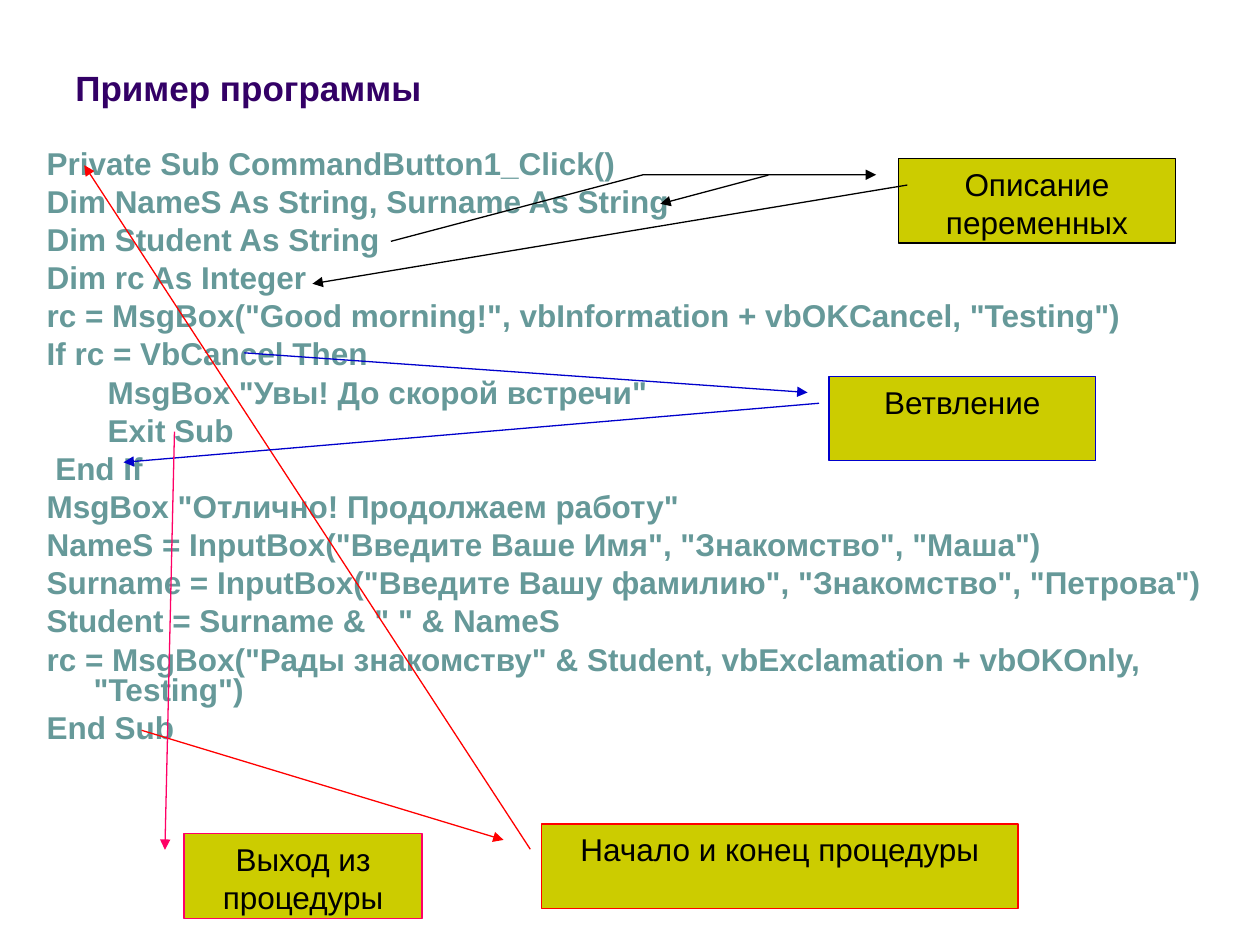
import dataclasses

import lxml.etree
import pptx
import pptx.dml.color
import pptx.enum.shapes
import pptx.enum.text
import pptx.oxml.ns
import pptx.util

Cm, Pt = pptx.util.Cm, pptx.util.Pt
KIND = pptx.enum.shapes.MSO_SHAPE
ALIGN = pptx.enum.text.PP_ALIGN
ANCHOR = pptx.enum.text.MSO_ANCHOR


@dataclasses.dataclass(frozen=True)
class Theme:
    face: str = "Arial"
    title: str = "330066"
    code: str = "669999"
    ink: str = "000000"
    fill: str = "CCCC00"
    red: str = "FF0000"
    blue: str = "0000CC"
    pink: str = "FF0066"
    head: int = 20
    body: int = 18
    line: float = 0.75


THEME = Theme()

CODE = '''Private Sub CommandButton1_Click()
Dim NameS As String, Surname As String
Dim Student As String
Dim rc As Integer
rc = MsgBox("Good morning!", vbInformation + vbOKCancel, "Testing")
If rc = VbCancel Then
       MsgBox "Увы! До скорой встречи"
       Exit Sub
 End If
MsgBox "Отлично! Продолжаем работу"
NameS = InputBox("Введите Ваше Имя", "Знакомство", "Маша")
Surname = InputBox("Введите Вашу фамилию", "Знакомство", "Петрова")
Student = Surname & " " & NameS
rc = MsgBox("Рады знакомству" & Student, vbExclamation + vbOKOnly, "Testing")
End Sub'''

# Text, colour, box (cm), leader points as (y, x) shares of the box,
# and arrows as start and tip, in cm from the box's corner.
START = (0.19, -0.08)
NOTES = [
    ("Описание переменных", THEME.ink, (18.11, 3.2, 5.59, 1.7),
     (START, (0.19, -0.92), (0.98, -1.83)),
     [((-2.62, 0.33), (-4.8, 0.91)), ((0.18, 0.53), (-11.81, 2.52))]),
    ("Начало и конец процедуры", THEME.red, (10.92, 16.61, 9.6, 1.7),
     (START, (-1.11, -0.84)), [((-0.23, 0.51), (-9.22, -13.28))]),
    ("Ветвление", THEME.blue, (16.71, 7.59, 5.38, 1.7),
     (START, (-0.28, -2.19)), [((-0.2, 0.54), (-14.22, 1.73))]),
    ("Выход из процедуры", THEME.pink, (3.71, 16.81, 4.8, 1.7),
     (START, (-4.77, -0.04)), []),
]


def put(part, form):
    for name, value in form.items():
        setattr(part, name, value)


def tint(text):
    return pptx.dml.color.RGBColor.from_string(text)


def write(frame, lines, size, color, bold=False, form=None):
    """Fill a frame with one paragraph for each line."""
    frame.word_wrap = True
    for i, line in enumerate(lines):
        para = frame.paragraphs[0] if i == 0 else frame.add_paragraph()
        para.text = line
        put(para, form or {})
        if i == 0:
            para.space_before = Pt(0)
        put(para.font, {"name": THEME.face, "size": Pt(size), "bold": bold})
        para.font.color.rgb = tint(color)


def stroke(shape, color, end):
    """Set the outline and put a triangle on headEnd or tailEnd."""
    shape.line.color.rgb = tint(color)
    shape.line.width = Pt(THEME.line)
    edge = shape.element.spPr.get_or_add_ln()
    lxml.etree.SubElement(edge, pptx.oxml.ns.qn(end), type="triangle")


def title(slide, box):
    frame = slide.shapes.add_textbox(*map(Cm, box)).text_frame
    frame.vertical_anchor = ANCHOR.BOTTOM
    write(frame, ["Пример программы"], THEME.head, THEME.title, True)


def code(slide, box):
    frame = slide.shapes.add_textbox(*map(Cm, box)).text_frame
    form = {"line_spacing": 0.8, "space_before": Pt(4.5)}
    write(frame, CODE.split("\n"), THEME.body, THEME.code, True, form)
    for para in frame.paragraphs:
        props = para._p.get_or_add_pPr()
        props.set("marL", str(Cm(0.95)))
        props.set("indent", str(-Cm(0.95)))


def arrow(slide, box, start, tip, color):
    ends = [Cm(base + step) for point in (start, tip)
            for base, step in zip(box, point)]
    line = slide.shapes.add_connector(
        pptx.enum.shapes.MSO_CONNECTOR.STRAIGHT, *ends)
    stroke(line, color, "a:tailEnd")
    lxml.etree.SubElement(line.element.spPr, pptx.oxml.ns.qn("a:effectLst"))


def note(slide, box, text, color, points, arrows):
    """Place a callout with its leader and its extra arrows."""
    kind = KIND.LINE_CALLOUT_1 if len(points) == 2 else KIND.LINE_CALLOUT_2
    shape = slide.shapes.add_shape(kind, *map(Cm, box))
    for i, share in enumerate(sum(points, ())):
        shape.adjustments[i] = share
    shape.shadow.inherit = False
    shape.fill.solid()
    shape.fill.fore_color.rgb = tint(THEME.fill)
    stroke(shape, color, "a:headEnd")
    shape.text_frame.vertical_anchor = ANCHOR.TOP
    write(shape.text_frame, [text], THEME.body, THEME.ink,
          form={"alignment": ALIGN.CENTER})
    for start, tip in arrows:
        arrow(slide, box, start, tip, color)


def main():
    deck = pptx.Presentation()
    put(deck, {"slide_width": Cm(25.4), "slide_height": Cm(19.05)})
    slide = deck.slides.add_slide(deck.slide_layouts[6])
    title(slide, (1.27, 0.33, 20.96, 1.98))
    code(slide, (0.69, 2.92, 24.71, 14.1))
    for text, color, box, points, arrows in NOTES:
        note(slide, box, text, color, points, arrows)
    deck.save("out.pptx")


if __name__ == "__main__":
    main()
